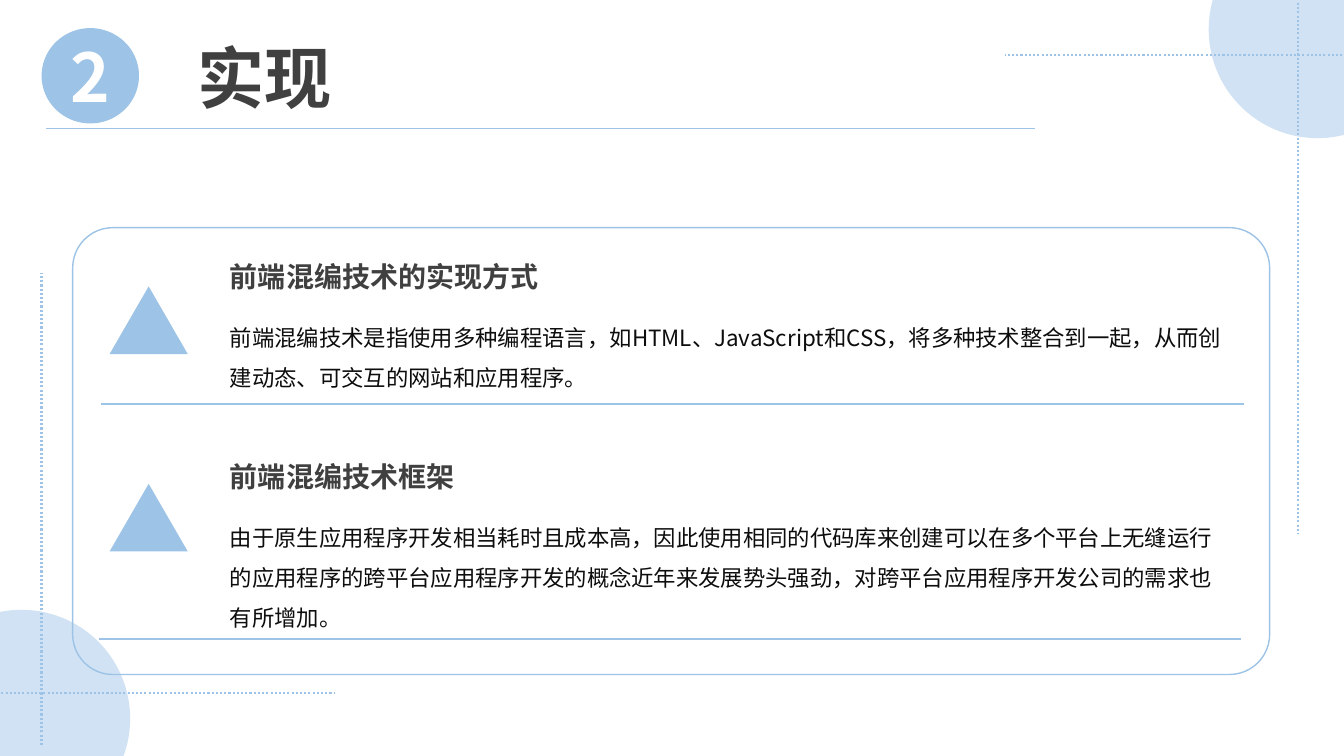
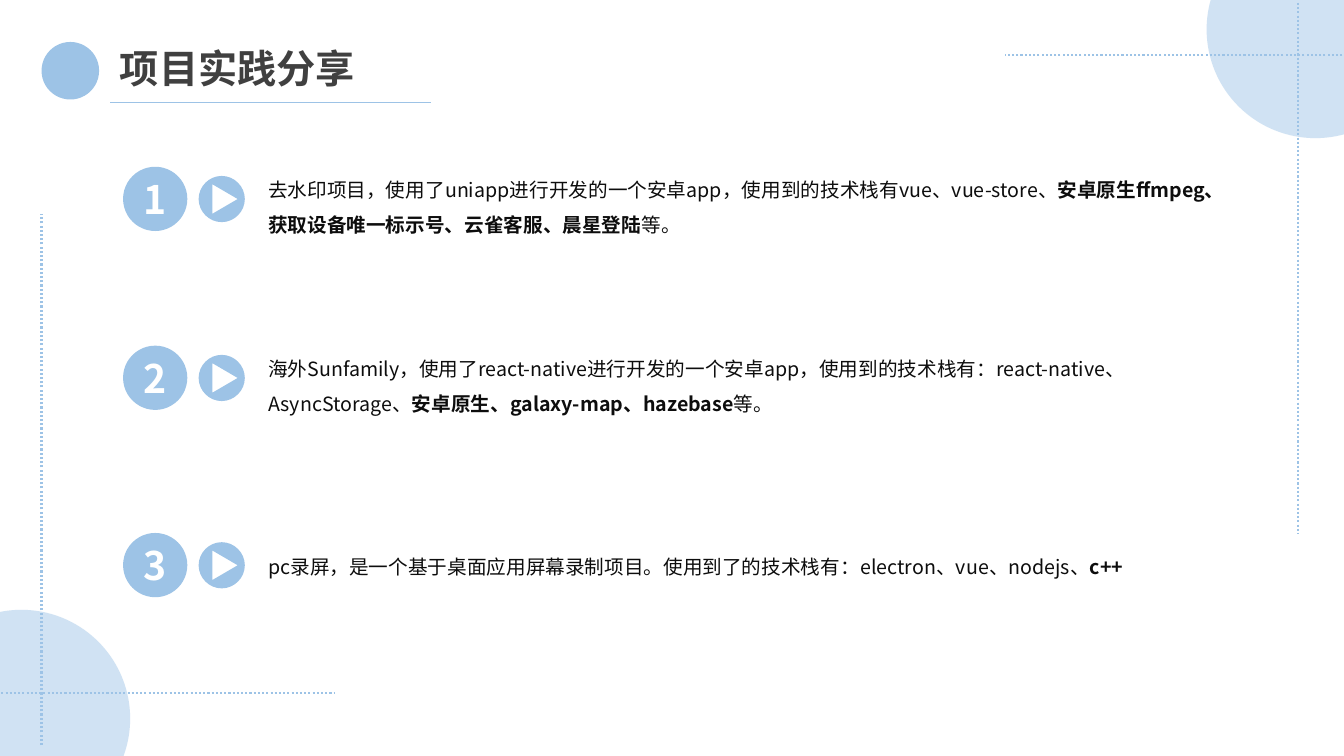
from lxml.etree import SubElement
from pptx import Presentation
from pptx.dml.color import RGBColor
from pptx.enum.dml import MSO_LINE
from pptx.enum.shapes import MSO_CONNECTOR, MSO_SHAPE
from pptx.enum.text import MSO_ANCHOR, MSO_AUTO_SIZE, PP_ALIGN
from pptx.oxml.ns import qn
from pptx.util import Inches, Pt

COLORS = {"blue": "9DC3E6", "pale": "BDD7EE", "title": "404040",
          "body": "0D0D0D", "white": "FFFFFF"}
RGB = {name: RGBColor.from_string(value) for name, value in COLORS.items()}
FONT = "Noto Sans CJK SC"

prs = Presentation()
prs.slide_width, prs.slide_height = Inches(40 / 3), Inches(7.5)
CELL = prs.slide_width / 32  # square grid: 32 columns by 18 rows

# Text styles: (font attributes, text colour, paragraph attributes)
STYLES = {
    "title": ({"size": Pt(48), "bold": True}, "title", {}),
    "subtitle": ({"size": Pt(28), "bold": True}, "title", {}),
    "heading": ({"size": Pt(20), "bold": True}, "title", {"alignment": PP_ALIGN.JUSTIFY}),
    "body": ({"size": Pt(16)}, "body", {"line_spacing": 1.5}),
    "item": ({"size": Pt(14)}, "body", {"line_spacing": 1.5}),
    "badge": ({"size": Pt(48), "bold": True}, "white", {"alignment": PP_ALIGN.CENTER}),
    "number": ({"size": Pt(28), "bold": True}, "white", {"alignment": PP_ALIGN.CENTER}),
}


def add(slide, at, kind=None, fill=None, text="", style=None):
    """Add a shape, or a text box when kind is None; every second part split by | is bold."""
    box = [round(v * CELL) for v in at]
    if kind is None:
        sp = slide.shapes.add_textbox(*box)
        sp.text_frame.auto_size = MSO_AUTO_SIZE.SHAPE_TO_FIT_TEXT
    else:
        sp = slide.shapes.add_shape(kind, *box)
        sp.shadow.inherit = False
        if fill:
            sp.fill.solid()
            sp.fill.fore_color.rgb = RGB[fill]
            sp.line.fill.background()
        else:
            sp.fill.background()
        sp.text_frame.vertical_anchor = MSO_ANCHOR.MIDDLE
    if text:
        font, color, layout = STYLES[style]
        tf = sp.text_frame
        tf.word_wrap = True
        p = tf.paragraphs[0]
        for name, value in layout.items():
            setattr(p, name, value)
        for i, part in enumerate(text.split("|")):
            r = p.add_run()
            r.text = part
            for name, value in {"name": FONT, "bold": i % 2 == 1, **font}.items():
                setattr(r.font, name, value)
            r.font.color.rgb = RGB[color]
            SubElement(r.font._element, qn("a:ea"), typeface=FONT)
    return sp


def line(slide, x1, y1, x2, y2, width=1.5, dash=None):
    ends = [round(v * CELL) for v in (x1, y1, x2, y2)]
    c = slide.shapes.add_connector(MSO_CONNECTOR.STRAIGHT, *ends)
    c.line.color.rgb = RGB["blue"]
    c.line.width = Pt(width)
    if dash:
        c.line.dash_style = dash
    SubElement(c._element.spPr, qn("a:effectLst"))


# Shared corner decoration: the right circle and the left dotted line vary a little
slides = []
for circle_x, dots_top in ((28.78, 6.5), (28.73, 5.1)):
    s = prs.slides.add_slide(prs.slide_layouts[6])
    slides.append(s)
    for x, y in ((-2.08, 14.52), (circle_x, -1.89)):
        sp = add(s, (x, y, 5.18, 5.18), MSO_SHAPE.OVAL, "pale")
        for clr in sp._element.spPr.iter(qn("a:srgbClr")):
            SubElement(clr, qn("a:alpha"), val="70000")
    for ends in ((32.06, 1.32, 23.93, 1.32), (30.91, 0.07, 30.91, 12.7),
                 (-0.17, 16.5, 7.97, 16.5), (0.99, 17.74, 0.99, dots_top)):
        line(s, *ends, dash=MSO_LINE.ROUND_DOT)

# Slide 1: two sections in a rounded frame
s = slides[0]
line(s, 1.1, 3.05, 24.65, 3.05, 0.5)
add(s, (0.99, 0.67, 2.32, 2.27), MSO_SHAPE.OVAL, "blue", "2", "badge")
add(s, (4.46, 0.75, 5.71, 2.18), text="实现", style="title")

SECTIONS = [
    (6.05, 6.82, 2.18, 2.41, 9.63, "前端混编技术的实现方式",
     "前端混编技术是指使用多种编程语言，如HTML、JavaScript和CSS，将多种技术整合到一起，"
     "从而创建动态、可交互的网站和应用程序。"),
    (10.82, 11.52, 3.14, 2.36, 15.21, "前端混编技术框架",
     "由于原生应用程序开发相当耗时且成本高，因此使用相同的代码库来创建可以在多个平台上无缝运行的"
     "应用程序的跨平台应用程序开发的概念近年来发展势头强劲，对跨平台应用程序开发公司的需求也有所增加。"),
]
for top, marker_y, body_h, rule_x, rule_y, heading, body in SECTIONS:
    add(s, (2.61, marker_y, 1.86, 1.61), MSO_SHAPE.ISOSCELES_TRIANGLE, "blue")
    add(s, (5.24, top, 8.81, 1.06), text=heading, style="heading")
    add(s, (5.24, top + 1.22, 24.24, body_h), text=body, style="body")
    line(s, rule_x, rule_y, rule_x + 27.2, rule_y)

frame = add(s, (1.73, 5.42, 28.5, 10.64), MSO_SHAPE.ROUNDED_RECTANGLE)
frame.adjustments[0] = 0.09
frame.line.color.rgb = RGB["blue"]
frame.line.width = Pt(1)

# Slide 2: three numbered projects
s = slides[1]
add(s, (0.99, 1, 1.37, 1.37), MSO_SHAPE.OVAL, "blue")
line(s, 2.62, 2.44, 10.26, 2.44, 0.5)
add(s, (2.62, 0.94, 7.63, 1.37), text="项目实践分享", style="subtitle")

PROJECTS = [
    (3.97, 3.84, 1.94,
     "去水印项目，使用了uniapp进行开发的一个安卓app，使用到的技术栈有vue、vue-store、"
     "|安卓原生ffmpeg、获取设备唯一标示号、云雀客服、晨星登陆|等。"),
    (8.23, 8.09, 1.94,
     "海外Sunfamily，使用了react-native进行开发的一个安卓app，使用到的技术栈有：react-native、"
     "AsyncStorage、|安卓原生、galaxy-map、hazebase|等。"),
    (12.69, 12.82, 1.08,
     "pc录屏，是一个基于桌面应用屏幕录制项目。使用到了的技术栈有：electron、vue、nodejs、|c++"),
]
RADIUS, HANDLE = 0.55, 0.3  # handle length of a quarter-circle Bézier curve
ring = [(RADIUS, 0)]
for dx, dy in ((1, 0), (0, 1), (-1, 0), (0, -1)):
    ring += [(RADIUS * dx - HANDLE * dy, RADIUS * dy + HANDLE * dx),
             (HANDLE * dx - RADIUS * dy, HANDLE * dy + RADIUS * dx),
             (-RADIUS * dy, RADIUS * dx)]
arrow = [(-0.22, -0.35), (-0.22, 0.35), (0.38, 0)]
for number, (top, text_y, text_h, text) in enumerate(PROJECTS, 1):
    add(s, (2.93, top, 1.53, 1.53), MSO_SHAPE.OVAL, "blue", str(number), "number")
    outer, hole = [[((5.28 + x) * CELL, (top + 0.77 + y) * CELL) for x, y in outline]
                   for outline in (ring, arrow)]
    fb = s.shapes.build_freeform(*outer[0])
    fb.add_line_segments(outer[1:])
    fb.move_to(*hole[0])
    fb.add_line_segments(hole[1:])
    play = fb.convert_to_shape()
    # Join each three ring segments into one curve
    segments = list(play._element.iter(qn("a:lnTo")))[:12]
    for i in range(0, 12, 3):
        outline = segments[i].getparent()
        curve = SubElement(outline, qn("a:cubicBezTo"))
        segments[i].addprevious(curve)
        for segment in segments[i:i + 3]:
            curve.append(segment[0])
            outline.remove(segment)
    play.shadow.inherit = False
    play.fill.solid()
    play.fill.fore_color.rgb = RGB["blue"]
    play.line.fill.background()
    add(s, (6.15, text_y, 23.42, text_h), text=text, style="item")

prs.save("out.pptx")
